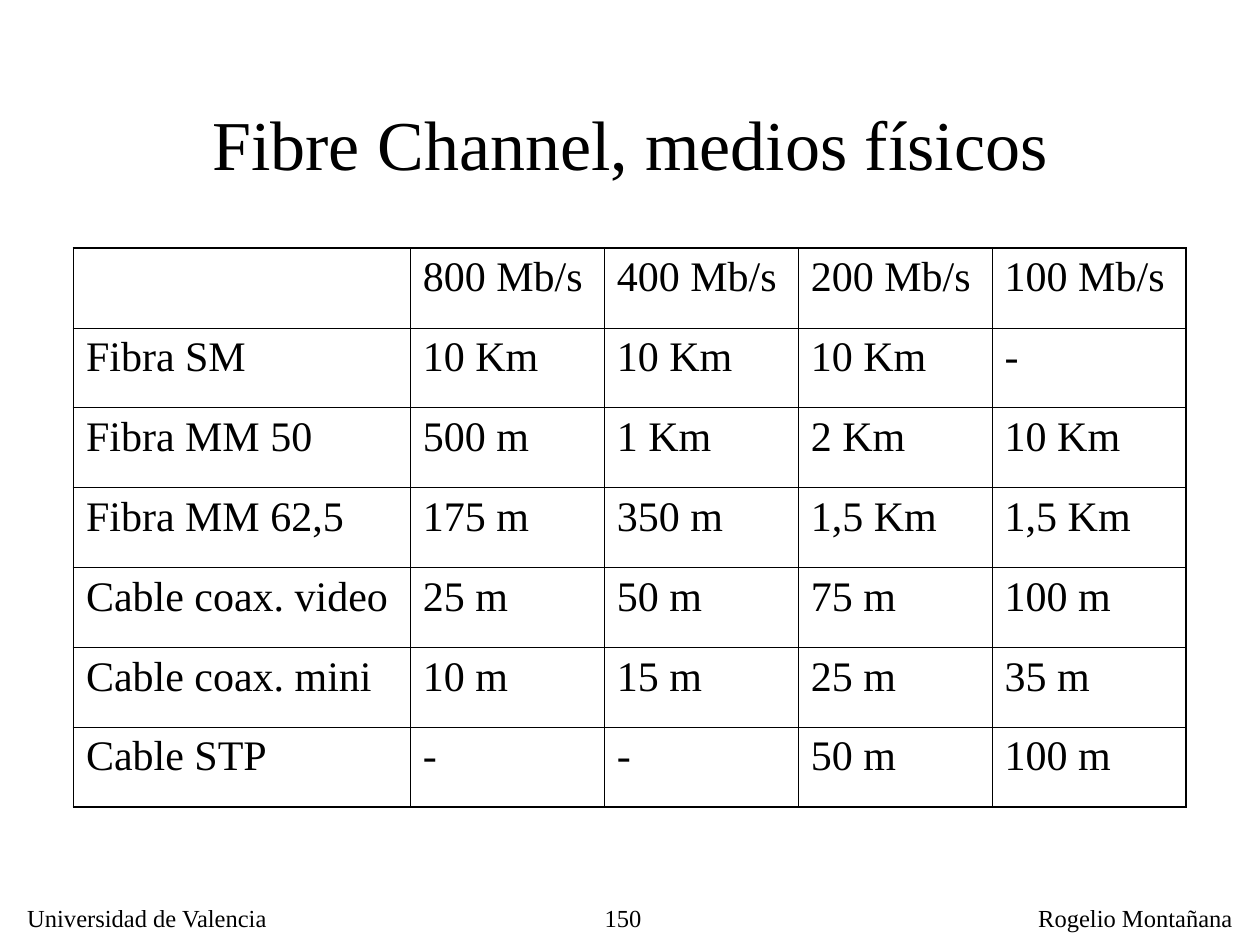
import pptx
import pptx.dml.color
import pptx.enum.text
import pptx.oxml
import pptx.oxml.ns
import pptx.util
from pptx.util import Cm

BLACK = pptx.dml.color.RGBColor(0x00, 0x00, 0x00)
FONT = "Times New Roman"
ALIGN = pptx.enum.text.PP_ALIGN
ANCHOR = pptx.enum.text.MSO_ANCHOR

INNER_LINE = 0.45
OUTER_LINE = 1.08
FIRST_COLUMN = Cm(6.79)
SPEED_COLUMN = Cm(3.91)
ROW_HEIGHT = Cm(1.61)

MEDIA = [
    ["", "800 Mb/s", "400 Mb/s", "200 Mb/s", "100 Mb/s"],
    ["Fibra SM", "10 Km", "10 Km", "10 Km", "-"],
    ["Fibra MM 50", "500 m", "1 Km", "2 Km", "10 Km"],
    ["Fibra MM 62,5", "175 m", "350 m", "1,5 Km", "1,5 Km"],
    ["Cable coax. video", "25 m", "50 m", "75 m", "100 m"],
    ["Cable coax. mini", "10 m", "15 m", "25 m", "35 m"],
    ["Cable STP", "-", "-", "50 m", "100 m"],
]


def add_run(p, text, size):
    r = p.add_run()
    r.text = text
    r.font.name = FONT
    r.font.size = pptx.util.Pt(size)
    r.font.color.rgb = BLACK


def set_title(s, text):
    sp = s.shapes.title
    sp.left, sp.top, sp.width, sp.height = Cm(1.9), Cm(1.7), Cm(21.6), Cm(2.34)
    tf = sp.text_frame
    tf.vertical_anchor = ANCHOR.MIDDLE
    p = tf.paragraphs[0]
    p.alignment = ALIGN.CENTER
    add_run(p, text, 40)


def add_footer(s, text, left, width, align=ALIGN.LEFT, wrap=False):
    sp = s.shapes.add_textbox(left, Cm(18.08), width, Cm(0.86))
    tf = sp.text_frame
    tf.word_wrap = wrap
    p = tf.paragraphs[0]
    p.alignment = align
    add_run(p, text, 14)


def set_border(cell, side, width):
    """Draw one side (L, R, T or B) of a cell, width in points."""
    ln = pptx.oxml.parse_xml(
        f'<a:ln{side} {pptx.oxml.ns.nsdecls("a")} w="{pptx.util.Pt(width)}">'
        f'<a:solidFill><a:srgbClr val="{BLACK}"/></a:solidFill></a:ln{side}>')
    cell._tc.get_or_add_tcPr().append(ln)


def add_media_table(s, rows):
    n_rows, n_cols = len(rows), len(rows[0])
    widths = [FIRST_COLUMN] + [SPEED_COLUMN] * (n_cols - 1)
    table = s.shapes.add_table(n_rows, n_cols, Cm(1.48), Cm(5),
                               sum(widths), ROW_HEIGHT * n_rows).table
    table.first_row = table.horz_banding = False
    for column, width in zip(table.columns, widths):
        column.width = width
    for i, texts in enumerate(rows):
        table.rows[i].height = ROW_HEIGHT
        for j, text in enumerate(texts):
            cell = table.cell(i, j)
            on_edge = {"L": j == 0, "R": j == n_cols - 1,
                       "T": i == 0, "B": i == n_rows - 1}
            for side, outer in on_edge.items():
                set_border(cell, side, OUTER_LINE if outer else INNER_LINE)
            cell.fill.background()
            if text:
                p = cell.text_frame.paragraphs[0]
                p.space_before = pptx.util.Pt(6)
                add_run(p, text, 24)


def main():
    prs = pptx.Presentation()
    prs.slide_width, prs.slide_height = Cm(25.4), Cm(19.05)
    s = prs.slides.add_slide(prs.slide_layouts[5])
    add_footer(s, "150", Cm(10.49), Cm(2.69), ALIGN.RIGHT, wrap=True)
    add_footer(s, "Universidad de Valencia", Cm(0.3), Cm(5.41))
    add_footer(s, "Rogelio Montañana", Cm(20.68), Cm(4.42))
    set_title(s, "Fibre Channel, medios físicos")
    add_media_table(s, MEDIA)
    prs.save("out.pptx")


if __name__ == "__main__":
    main()
